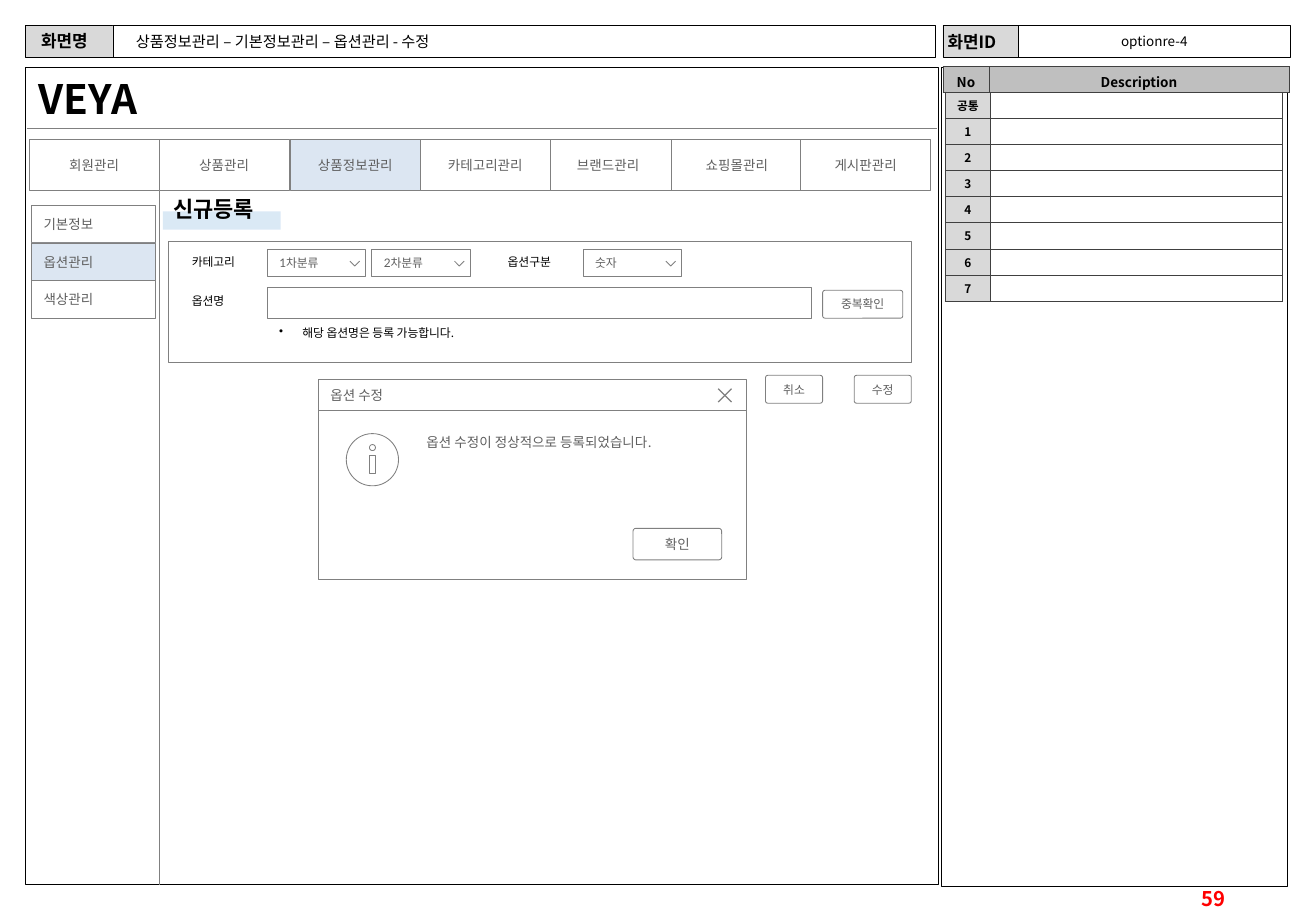
import dataclasses

import pptx
import pptx.dml.color
import pptx.enum.shapes
import pptx.enum.text
import pptx.oxml
import pptx.oxml.ns
import pptx.util
from lxml import etree

Inches = pptx.util.Inches
Pt = pptx.util.Pt
qn = pptx.oxml.ns.qn
SHAPE = pptx.enum.shapes.MSO_SHAPE
ALIGN = pptx.enum.text.PP_ALIGN
ANCHOR = pptx.enum.text.MSO_ANCHOR


@dataclasses.dataclass(frozen=True)
class Theme:
    font: str = "Noto Sans CJK KR"
    select_font: str = "Lato"
    black: str = "000000"
    white: str = "FFFFFF"
    text: str = "5F5F5F"
    line: str = "808080"
    border: str = "404040"
    label: str = "D9D9D9"
    head: str = "BFBFBF"
    active: str = "DCE6F2"
    accent: str = "5B9BD5"
    page: str = "FF0000"
    small: float = 7
    body: float = 8
    title: float = 9
    caption: float = 10
    number: float = 12
    heading: float = 13
    brand: float = 24


T = Theme()


def rgb(color):
    return pptx.dml.color.RGBColor.from_string(color)


def write(frame, text, size=T.body, color=T.text, bold=False, font=T.font,
          align=ALIGN.LEFT, anchor=ANCHOR.MIDDLE, margins=(0.1, 0.05, 0.1, 0.05),
          bullet=None):
    """Fill a text frame; margins are left, top, right, bottom in inches."""
    frame.word_wrap = True
    frame.vertical_anchor = anchor
    (frame.margin_left, frame.margin_top,
     frame.margin_right, frame.margin_bottom) = map(Inches, margins)
    paragraph = frame.paragraphs[0]
    paragraph.alignment = align
    run = paragraph.add_run()
    run.text = text
    run.font.size, run.font.bold, run.font.name = Pt(size), bold, font
    run.font.color.rgb = rgb(color)
    etree.SubElement(run._r.get_or_add_rPr(), qn("a:ea"), typeface=T.font)
    if bullet:
        props = paragraph._p.get_or_add_pPr()
        props.set("marL", str(Inches(0.19)))
        props.set("indent", str(Inches(-0.19)))
        etree.SubElement(props, qn("a:buChar"), char=bullet)


def label(slide, box, text, **style):
    frame = slide.shapes.add_textbox(*map(Inches, box)).text_frame
    write(frame, text, **{"color": T.black, "anchor": ANCHOR.TOP, **style})


def outline(shape, fill, line, width):
    shape.shadow.inherit = False
    if fill:
        shape.fill.solid()
        shape.fill.fore_color.rgb = rgb(fill)
    else:
        shape.fill.background()
    if line:
        shape.line.color.rgb = rgb(line)
        shape.line.width = Pt(width)
    else:
        shape.line.fill.background()


def panel(slide, box, text=None, kind=SHAPE.RECTANGLE, fill=T.white, line=T.line,
          width=0.5, **style):
    shape = slide.shapes.add_shape(kind, *map(Inches, box))
    outline(shape, fill, line, width)
    if text:
        write(shape.text_frame, text, **style)
    return shape


def button(slide, box, text, size=T.small):
    shape = panel(slide, box, text, SHAPE.ROUNDED_RECTANGLE, size=size, align=ALIGN.CENTER)
    shape.adjustments[0] = 0.088


def strokes(slide, lines, fill=None, width=0.5):
    """Draw open polylines, given as lists of points, as one shape."""
    builder = None
    for line in lines:
        start, *rest = [(Inches(x), Inches(y)) for x, y in line]
        if builder:
            builder.move_to(*start)
        else:
            builder = slide.shapes.build_freeform(*start)
        builder.add_line_segments(rest, close=False)
    outline(builder.convert_to_shape(), fill, T.line, width)


def rule(slide, *ends):
    connector = slide.shapes.add_connector(
        pptx.enum.shapes.MSO_CONNECTOR.STRAIGHT, *map(Inches, ends))
    connector.line.color.rgb = rgb(T.line)
    connector.line.width = Pt(0.5)
    etree.SubElement(connector._element.spPr, qn("a:effectLst"))


def grid(slide, box, widths, rows, fills, margins, **style):
    table = slide.shapes.add_table(len(rows), len(widths), *map(Inches, box)).table
    table.first_row = table.horz_banding = False
    for column, width in zip(table.columns, widths):
        column.width = Inches(width)
    for r, texts in enumerate(rows):
        for c, text in enumerate(texts):
            cell = table.cell(r, c)
            props = cell._tc.get_or_add_tcPr()
            for side in ("lnL", "lnR", "lnT", "lnB"):
                edge = etree.SubElement(props, qn(f"a:{side}"), w=str(Pt(0.5)))
                paint = etree.SubElement(edge, qn("a:solidFill"))
                etree.SubElement(paint, qn("a:srgbClr"), val=T.border)
            cell.fill.solid()
            cell.fill.fore_color.rgb = rgb(fills[c])
            (cell.margin_left, cell.margin_top,
             cell.margin_right, cell.margin_bottom) = map(Inches, margins)
            cell.vertical_anchor = style["anchor"]
            if text:
                write(cell.text_frame, text, color=T.black, bold=True,
                      align=ALIGN.CENTER, margins=margins, **style)
                cell.text_frame.word_wrap = None
            else:
                etree.SubElement(cell.text_frame.paragraphs[0]._p,
                                 qn("a:endParaRPr"), sz=str(T.small * 100))


def page_header(slide, x, y):
    frame = dict(line=T.black, width=0.25)
    caption = dict(size=T.caption, bold=True)
    panel(slide, (x, y, 0.72, 0.26), fill=T.label, **frame)
    panel(slide, (x + 0.72, y, 6.77, 0.26), **frame)
    panel(slide, (x + 7.55, y, 0.62, 0.26), fill=T.label, **frame)
    panel(slide, (x + 8.17, y, 2.24, 0.26), "optionre-4", color=T.black,
          align=ALIGN.CENTER, **frame)
    label(slide, (x + 0.03, y - 0.01, 0.69, 0.27), "화면명", **caption)
    label(slide, (x + 7.49, y, 1.02, 0.27), "화면ID", **caption)
    label(slide, (x + 0.81, y + 0.02, 6.6, 0.23), "상품정보관리 – 기본정보관리 – 옵션관리 - 수정",
          size=T.title, anchor=ANCHOR.MIDDLE)


def description(slide, x, y):
    panel(slide, (x, y, 2.84, 6.75), line=T.black, width=0.25)
    grid(slide, (x + 0.01, y, 2.85, 0.21), (0.38, 2.47), [("No", "Description")],
         (T.head, T.head), (0.04, 0.04, 0.04, 0.01), size=T.body, anchor=ANCHOR.TOP)
    rows = [(name, "") for name in ("공통", *map(str, range(1, 8)))]
    grid(slide, (x + 0.03, y + 0.21, 2.77, 1.72), (0.37, 2.4), rows,
         (T.label, T.white), (0.04, 0.03, 0.04, 0.03), size=T.small, anchor=ANCHOR.MIDDLE)


def navigation(slide, x, y):
    panel(slide, (x, y, 7.51, 6.73), line=T.black, width=0.25)
    label(slide, (x + 0.01, y + 0.01, 1.45, 0.5), "VEYA", size=T.brand, bold=True)
    rule(slide, x + 0.01, y + 0.51, x + 7.5, y + 0.51)
    tabs = [("회원관리", 0.03), ("상품관리", 1.1), ("브랜드관리", 4.26), ("쇼핑몰관리", 5.32),
            ("카테고리관리", 3.25), ("게시판관리", 6.38), ("상품정보관리", 2.18)]
    for name, left in tabs:
        panel(slide, (x + left, y + 0.6, 1.07, 0.42), name, align=ALIGN.CENTER,
              fill=T.active if name == "상품정보관리" else T.white)
    for i, name in enumerate(("기본정보", "옵션관리", "색상관리")):
        panel(slide, (x + 0.05, y + 1.14 + 0.31 * i, 1.02, 0.31), name,
              fill=T.active if name == "옵션관리" else T.white)
    rule(slide, x + 1.1, y + 1.02, x + 1.1, y + 6.74)


def section_title(slide, x, y):
    band = panel(slide, (x + 0.01, y + 0.18, 0.97, 0.15), fill=T.accent, line=None)
    color = band.fill._xPr.find(f".//{qn('a:srgbClr')}")
    etree.SubElement(color, qn("a:alpha"), val="22000")
    label(slide, (x, y, 0.95, 0.32), "신규등록", size=T.heading, bold=True)


def dropdown(slide, x, y, text):
    panel(slide, (x, y, 0.81, 0.23), text, size=T.small, font=T.select_font,
          margins=(0.1, 0.06, 0.28, 0.06))
    strokes(slide, [[(x + 0.76, y + 0.1), (x + 0.72, y + 0.14), (x + 0.68, y + 0.1)]],
            fill=T.white)


def option_form(slide, x, y):
    panel(slide, (x, y, 6.11, 0.99))
    for name, left, top in (("카테고리", 0.09, 0.06), ("옵션명", 0.09, 0.38),
                            ("옵션구분", 2.69, 0.06)):
        label(slide, (x + left, y + top, 0.71, 0.22), name, size=T.small)
    for choice, left in (("1차분류", 0.81), ("2차분류", 1.67), ("숫자", 3.41)):
        dropdown(slide, x + left, y + 0.06, choice)
    panel(slide, (x + 0.81, y + 0.38, 4.48, 0.25))
    button(slide, (x + 5.38, y + 0.4, 0.66, 0.23), "중복확인")
    label(slide, (x + 0.81, y + 0.64, 2.66, 0.22), "해당 옵션명은 등록 가능합니다.",
          size=T.small, bullet="•")
    for name, left in (("취소", 4.91), ("수정", 5.64)):
        button(slide, (x + left, y + 1.1, 0.47, 0.23), name)


def dialog(slide, x, y):
    panel(slide, (x, y + 0.26, 3.52, 1.39))
    panel(slide, (x, y, 3.52, 0.26), "옵션 수정", margins=(0.1, 0.05, 0.25, 0.05))
    left, right, top, bottom = x + 3.29, x + 3.4, y + 0.08, y + 0.19
    strokes(slide, [[(right, top), (left, bottom)], [(left, top), (right, bottom)]], width=0.75)
    panel(slide, (x + 0.23, y + 0.45, 0.43, 0.43), kind=SHAPE.OVAL, fill=None)
    panel(slide, (x + 0.42, y + 0.54, 0.05, 0.05), kind=SHAPE.OVAL, fill=None)
    panel(slide, (x + 0.42, y + 0.63, 0.05, 0.15), fill=None)
    label(slide, (x + 0.81, y + 0.41, 2.71, 0.75), "옵션 수정이 정상적으로 등록되었습니다.",
          size=T.body, color=T.text, margins=(0.08, 0.04, 0.08, 0.04))
    button(slide, (x + 2.59, y + 1.23, 0.73, 0.26), "확인", T.body)


def main():
    deck = pptx.Presentation()
    deck.slide_width, deck.slide_height = Inches(10.83), Inches(7.5)
    slide = deck.slides.add_slide(deck.slide_layouts[6])
    page_header(slide, 0.21, 0.21)
    navigation(slide, 0.21, 0.55)
    description(slide, 7.75, 0.55)
    section_title(slide, 1.33, 1.56)
    option_form(slide, 1.39, 1.99)
    dialog(slide, 2.62, 3.12)
    label(slide, (9.61, 7.29, 0.57, 0.21), "59", size=T.number, color=T.page, bold=True,
          align=ALIGN.RIGHT, anchor=ANCHOR.MIDDLE)
    deck.save("out.pptx")


if __name__ == "__main__":
    main()
